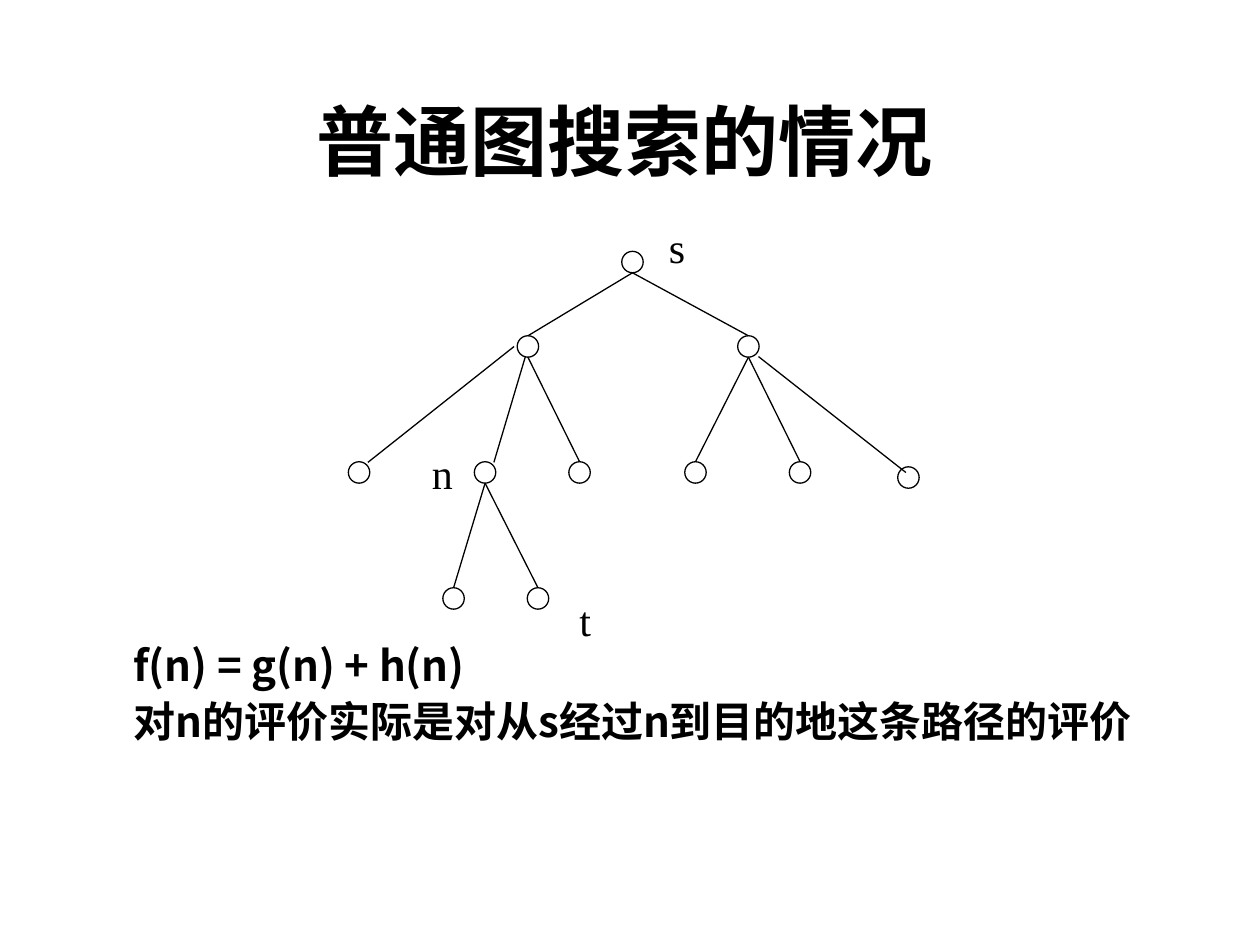
from dataclasses import dataclass

from lxml import etree
from pptx import Presentation
from pptx.dml.color import RGBColor
from pptx.enum.shapes import MSO_CONNECTOR, MSO_SHAPE
from pptx.enum.text import MSO_ANCHOR, MSO_AUTO_SIZE, PP_ALIGN
from pptx.oxml.ns import qn
from pptx.util import Inches, Pt

OVAL = MSO_SHAPE.OVAL
STRAIGHT = MSO_CONNECTOR.STRAIGHT
MIDDLE, TOP = MSO_ANCHOR.MIDDLE, MSO_ANCHOR.TOP
CENTER, LEFT = PP_ALIGN.CENTER, PP_ALIGN.LEFT
NO_AUTOFIT = MSO_AUTO_SIZE.NONE

COLORS = {"ink": "000000", "paper": "FFFFFF"}
CJK_FONT = "Noto Sans CJK SC"
LABEL_FONT = "Times New Roman"
DIAMETER = 0.17
RADIUS = DIAMETER / 2
LINE_WIDTH = 0.75


@dataclass(frozen=True)
class Node:
    x: float
    y: float
    filled: bool = False


@dataclass(frozen=True)
class Edge:
    """A line between two nodes; offsets are measured from the node centres."""
    parent: str
    child: str
    start: tuple[float, float] = (0, RADIUS)
    end: tuple[float, float] = (0, -RADIUS)


@dataclass(frozen=True)
class Label:
    text: str
    left: float
    top: float


NODES = {
    "s": Node(5.02, 2.08, True),
    "left": Node(4.19, 2.75, True),
    "right": Node(5.94, 2.75, True),
    "left_1": Node(2.85, 3.75),
    "n": Node(3.85, 3.75, True),
    "left_3": Node(4.6, 3.75),
    "right_1": Node(5.52, 3.75),
    "right_2": Node(6.35, 3.75),
    "right_3": Node(7.21, 3.79),
    "n_1": Node(3.6, 4.75),
    "t": Node(4.27, 4.75),
}
EDGES = [
    Edge("s", "left"),
    Edge("s", "right"),
    Edge("left", "left_1", start=(-0.11, 0), end=(0.07, -0.08)),
    Edge("left", "n", start=(-0.02, 0.08), end=(0.07, -0.08)),
    Edge("left", "left_3"),
    Edge("right", "right_1"),
    Edge("right", "right_2"),
    Edge("right", "right_3", start=(0.08, 0.08), end=(-0.02, -0.04)),
    Edge("n", "n_1"),
    Edge("n", "t"),
]
LABELS = [Label("n", 3.33, 3.5), Label("s", 5.21, 1.71), Label("t", 4.5, 4.67)]
EXPLANATION = ["f(n) = g(n) + h(n)", "对n的评价实际是对从s经过n到目的地这条路径的评价"]


def rgb(name: str) -> RGBColor:
    return RGBColor.from_string(COLORS[name])


def write_text(shape, lines: list[str], *, font: str, size: float, bold: bool = False,
               align=LEFT, anchor=TOP, wrap: bool = True, indent: float = 0,
               line_spacing: float = 1.0, space_before: float = 0) -> None:
    frame = shape.text_frame
    frame.word_wrap = wrap
    frame.auto_size = NO_AUTOFIT
    frame.vertical_anchor = anchor
    for index, line in enumerate(lines):
        paragraph = frame.add_paragraph() if index else frame.paragraphs[0]
        paragraph.alignment = align
        paragraph.line_spacing = line_spacing
        paragraph.space_before = Pt(space_before if index else 0)
        if indent:
            paragraph._p.get_or_add_pPr().set("marL", str(Inches(indent)))
        run = paragraph.add_run()
        run.text = line
        run.font.name = font
        run.font.size = Pt(size)
        run.font.bold = bold
        run.font.color.rgb = rgb("ink")
        east_asian = etree.Element(qn("a:ea"), typeface=CJK_FONT)
        run.font._element.find(qn("a:latin")).addnext(east_asian)


def add_text_box(slide, left: float, top: float, width: float, height: float,
                 lines: list[str], **text_format) -> None:
    box = slide.shapes.add_textbox(Inches(left), Inches(top), Inches(width), Inches(height))
    write_text(box, lines, **text_format)


def set_outline(line) -> None:
    line.color.rgb = rgb("ink")
    line.width = Pt(LINE_WIDTH)


def draw_node(slide, node: Node) -> None:
    circle = slide.shapes.add_shape(OVAL, Inches(node.x - RADIUS), Inches(node.y - RADIUS),
                                    Inches(DIAMETER), Inches(DIAMETER))
    circle.shadow.inherit = False
    if node.filled:
        circle.fill.solid()
        circle.fill.fore_color.rgb = rgb("paper")
    else:
        circle.fill.background()
    set_outline(circle.line)


def draw_edge(slide, edge: Edge) -> None:
    parent, child = NODES[edge.parent], NODES[edge.child]
    connector = slide.shapes.add_connector(
        STRAIGHT,
        Inches(parent.x + edge.start[0]), Inches(parent.y + edge.start[1]),
        Inches(child.x + edge.end[0]), Inches(child.y + edge.end[1]))
    set_outline(connector.line)
    etree.SubElement(connector._element.spPr, qn("a:effectLst"))


def main() -> None:
    presentation = Presentation()
    presentation.slide_width, presentation.slide_height = Inches(10), Inches(7.5)
    slide = presentation.slides.add_slide(presentation.slide_layouts[5])

    title = slide.shapes.title
    title.left, title.top = Inches(0.71), Inches(0.48)
    title.width, title.height = Inches(8.5), Inches(1.25)
    write_text(title, ["普通图搜索的情况"], font="Arial", size=44, bold=True,
               align=CENTER, anchor=MIDDLE)

    add_text_box(slide, 0.58, 5.07, 8.92, 1.44, EXPLANATION, font=CJK_FONT, size=24,
                 bold=True, indent=0.38, line_spacing=0.9, space_before=6)
    for node in NODES.values():
        draw_node(slide, node)
    for edge in EDGES:
        draw_edge(slide, edge)
    for label in LABELS:
        add_text_box(slide, label.left, label.top, 0.38, 0.5, [label.text],
                     font=LABEL_FONT, size=24, wrap=False)
    presentation.save("out.pptx")


if __name__ == "__main__":
    main()
